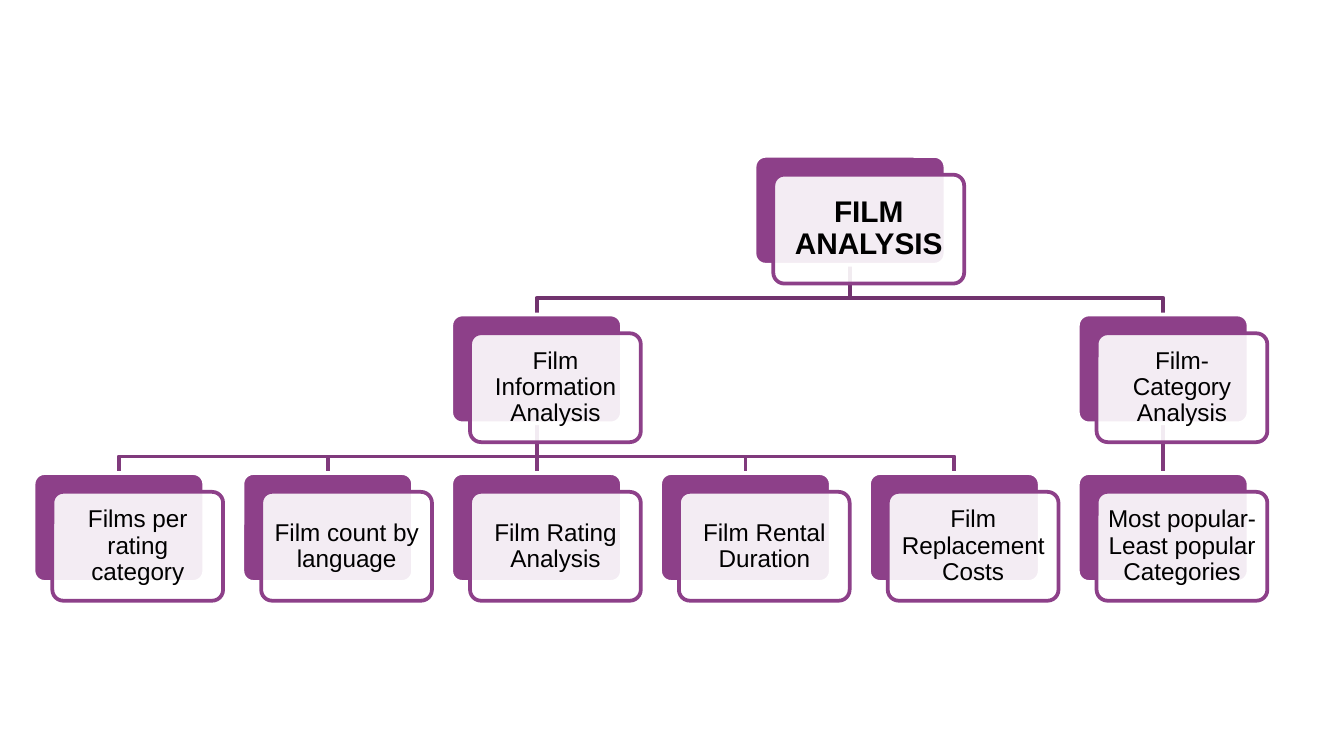
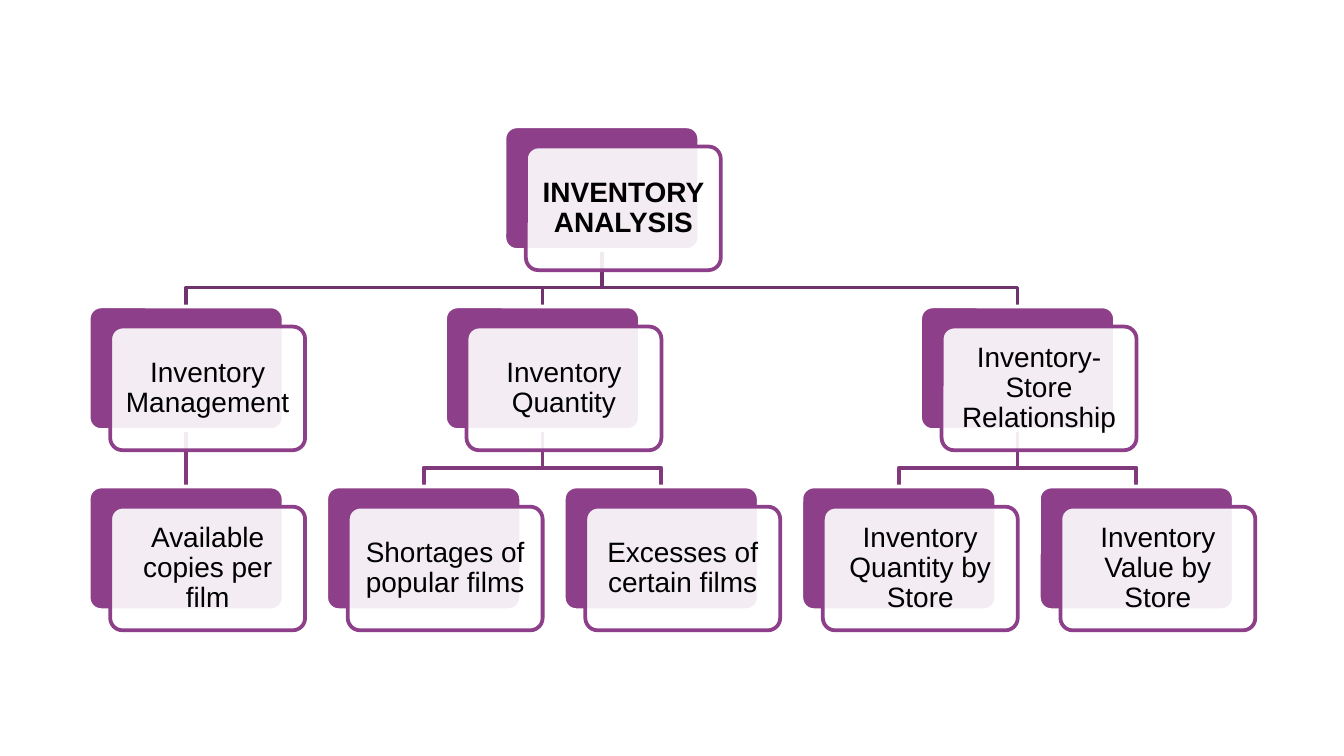
from lxml.etree import SubElement
from pptx import Presentation
from pptx.dml.color import RGBColor
from pptx.enum.shapes import MSO_CONNECTOR, MSO_SHAPE
from pptx.enum.text import MSO_ANCHOR, PP_ALIGN
from pptx.oxml.ns import qn
from pptx.util import Inches, Pt

PURPLE, WHITE, BLACK = "8D4089", "FFFFFF", "000000"
LINK_COLORS = ["71336E", "803A7C"]

CHARTS = [
    {
        "root": "FILM ANALYSIS",
        "branches": [
            ("Film Information Analysis",
             ["Films per rating category", "Film count by language",
              "Film Rating Analysis", "Film Rental Duration",
              "Film Replacement Costs"]),
            ("Film-Category Analysis",
             ["Most popular-Least popular Categories"]),
        ],
        "first": 0.25, "last": 8.02, "top": 1.16, "pitch": 1.18,
        "width": 1.27, "root_width": 1.42, "height": 0.81,
        "shift": (0.14, 0.14), "size": 13, "root_size": 16,
        "inset": 0.05, "root_inset": 0.07,
    },
    {
        "root": "INVENTORY ANALYSIS",
        "branches": [
            ("Inventory Management", ["Available copies per film"]),
            ("Inventory Quantity",
             ["Shortages of popular films", "Excesses of certain films"]),
            ("Inventory-Store Relationship",
             ["Inventory Quantity by Store", "Inventory Value by Store"]),
        ],
        "first": 0.66, "last": 7.73, "top": 0.94, "pitch": 1.34,
        "width": 1.45, "root_width": 1.45, "height": 0.92,
        "shift": (0.16, 0.15), "size": 15, "root_size": 15,
        "inset": 0.06, "root_inset": 0.06,
    },
]


def rgb(color):
    return RGBColor.from_string(color)


def add_card(s, x, y, w, h, fill, line):
    sp = s.shapes.add_shape(MSO_SHAPE.ROUNDED_RECTANGLE,
                            Inches(x), Inches(y), Inches(w), Inches(h))
    sp.adjustments[0] = 0.1
    sp.shadow.inherit = False
    sp.fill.solid()
    sp.fill.fore_color.rgb = rgb(fill)
    sp.line.color.rgb = rgb(line)
    sp.line.width = Pt(2)
    return sp


prs = Presentation()
prs.slide_width = Inches(10)
prs.slide_height = prs.slide_width * 9 // 16

for chart in CHARTS:
    s = prs.slides.add_slide(prs.slide_layouts[6])
    h, pitch = chart["height"], chart["pitch"]
    leaf_count = sum(len(leaves) for _, leaves in chart["branches"])
    step = (chart["last"] - chart["first"]) / (leaf_count - 1)

    nodes, links, branch_centers = [], [], []
    center = chart["first"] + chart["width"] / 2
    for branch, leaves in chart["branches"]:
        centers = [center + i * step for i in range(len(leaves))]
        center += len(leaves) * step
        middle = (centers[0] + centers[-1]) / 2
        branch_centers.append(middle)
        parent = len(nodes)
        nodes.append((branch, 1, middle))
        for leaf, x in zip(leaves, centers):
            links.append((parent, len(nodes)))
            nodes.append((leaf, 2, x))
    root = len(nodes)
    links += [(root, i) for i, node in enumerate(nodes) if node[1] == 1]
    nodes.append((chart["root"], 0, (branch_centers[0] + branch_centers[-1]) / 2))

    joints = []
    for parent, child in links:
        _, row, x1 = nodes[parent]
        x2 = nodes[child][2]
        y1 = chart["top"] + row * pitch + h
        y2 = y1 + pitch - h
        if abs(x1 - x2) < 0.01:
            sp = s.shapes.add_connector(MSO_CONNECTOR.STRAIGHT, Inches(x1),
                                        Inches(y1), Inches(x2), Inches(y2))
            SubElement(sp._element.spPr, qn("a:effectLst"))
            joints.append((sp, parent, child))
        else:
            bend = y1 + (y2 - y1) * 2 / 3
            fb = s.shapes.build_freeform(Inches(x1), Inches(y1))
            fb.add_line_segments([(Inches(x), Inches(y)) for x, y in
                                  [(x1, bend), (x2, bend), (x2, y2)]], close=False)
            sp = fb.convert_to_shape()
            sp.fill.background()
            sp.shadow.inherit = False
        sp.line.color.rgb = rgb(LINK_COLORS[row])
        sp.line.width = Pt(2)

    backs = []
    for text, row, x in nodes:
        prefix = "" if row else "root_"
        w = chart[prefix + "width"]
        left, top = x - w / 2, chart["top"] + row * pitch
        backs.append(add_card(s, left, top, w, h, PURPLE, WHITE))
        dx, dy = chart["shift"]
        sp = add_card(s, left + dx, top + dy, w, h, WHITE, PURPLE)
        fill = sp._element.spPr.find(qn("a:solidFill"))
        SubElement(fill[0], qn("a:alpha"), val="90000")
        tf = sp.text_frame
        tf.word_wrap = True
        tf.vertical_anchor = MSO_ANCHOR.MIDDLE
        for side in ("left", "top", "right", "bottom"):
            setattr(tf, "margin_" + side, Inches(chart[prefix + "inset"]))
        p = tf.paragraphs[0]
        p.alignment = PP_ALIGN.CENTER
        p.line_spacing = 0.9
        r = p.add_run()
        r.text = text
        font = {"name": "Arial", "size": Pt(chart[prefix + "size"]), "bold": row == 0}
        for key, value in font.items():
            setattr(r.font, key, value)
        r.font.color.rgb = rgb(BLACK)

    for sp, parent, child in joints:
        sp.begin_connect(backs[parent], 2)
        sp.end_connect(backs[child], 0)

prs.save("out.pptx")
